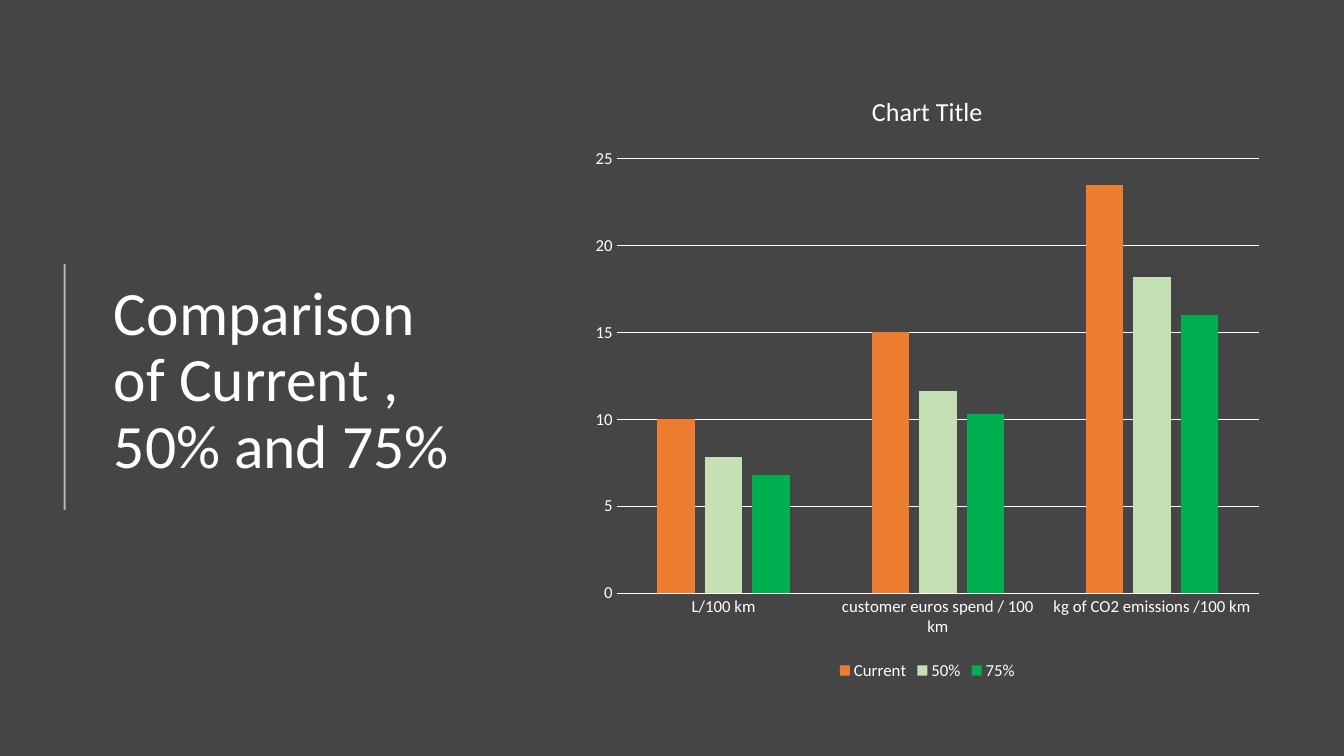
from dataclasses import dataclass

from lxml import etree
from pptx import Presentation
from pptx import util as u
from pptx.chart.data import CategoryChartData
from pptx.dml.color import RGBColor
from pptx.enum import chart as ch
from pptx.enum import shapes, text
from pptx.oxml.ns import qn


@dataclass(frozen=True)
class Theme:
    """Colours, font and type sizes."""
    back: str = "454545"
    ink: str = "FFFFFF"
    bars: tuple = ("ED7D31", "C5E0B4", "00B050")
    face: str = "Calibri"
    head: float = 44
    title: float = 18.6
    label: float = 12


class Deck:
    """Holds the theme and the current slide."""

    def __init__(self, theme):
        self.theme = theme
        self.prs = Presentation()
        self.prs.slide_width = u.Cm(33.87)
        self.prs.slide_height = u.Cm(19.05)
        self.slide = None

    def page(self):
        """Add a blank slide with the theme background."""
        self.slide = self.prs.slides.add_slide(self.prs.slide_layouts[6])
        self.paint(self.slide.background.fill, self.theme.back)

    def paint(self, fill, hue):
        """Make a fill solid."""
        fill.solid()
        fill.fore_color.rgb = RGBColor.from_string(hue)

    def style(self, font, size):
        """Set face, size and colour of a font."""
        font.name = self.theme.face
        font.size = u.Pt(size)
        font.bold = False
        font.color.rgb = RGBColor.from_string(self.theme.ink)

    def head(self, words, *box):
        """Add the heading, centred in height."""
        frame = self.slide.shapes.add_textbox(*map(u.Cm, box)).text_frame
        frame.word_wrap = True
        frame.vertical_anchor = text.MSO_ANCHOR.MIDDLE
        par = frame.paragraphs[0]
        par.text = words
        par.line_spacing = 0.9
        self.style(par.font, self.theme.head)

    def rule(self, left, top, base, alpha):
        """Add an upright, partly clear line."""
        rule = self.slide.shapes.add_connector(
            shapes.MSO_CONNECTOR.STRAIGHT, *map(u.Cm, (left, top, left, base)))
        rule.line.width = u.Pt(1.5)
        self.paint(rule.line.fill, self.theme.ink)
        props = rule._element.spPr
        hue = props.find(".//" + qn("a:srgbClr"))
        etree.SubElement(hue, qn("a:alpha"), val=str(alpha * 1000))
        etree.SubElement(props, qn("a:effectLst"))

    def stroke(self, line):
        """Draw a thin chart line."""
        line.width = u.Pt(0.75)
        self.paint(line.fill, self.theme.ink)

    def chart(self, title, cats, rows, *box):
        """Add a clustered column chart."""
        data = CategoryChartData()
        data.categories = cats
        for name, vals in rows.items():
            data.add_series(name, vals)
        chart = self.slide.shapes.add_chart(
            ch.XL_CHART_TYPE.COLUMN_CLUSTERED, *map(u.Cm, box), data).chart
        self.style(chart.font, self.theme.label)

        chart.has_title = True
        par = chart.chart_title.text_frame.paragraphs[0]
        par.text = title
        self.style(par.font, self.theme.title)
        chart.chart_title.include_in_layout = False

        chart.has_legend = True
        chart.legend.position = ch.XL_LEGEND_POSITION.BOTTOM
        chart.legend.include_in_layout = False
        self.style(chart.legend.font, self.theme.label)

        plot = chart.plots[0]
        plot.gap_width, plot.overlap = 219, -27
        plot.vary_by_categories = False
        for bar, hue in zip(plot.series, self.theme.bars):
            self.paint(bar.format.fill, hue)
            bar.invert_if_negative = False

        for axis in (chart.category_axis, chart.value_axis):
            axis.major_tick_mark = ch.XL_TICK_MARK.NONE
            axis.minor_tick_mark = ch.XL_TICK_MARK.NONE
            self.style(axis.tick_labels.font, self.theme.label)
        self.stroke(chart.category_axis.format.line)
        scale = chart.value_axis
        scale.minimum_scale, scale.maximum_scale = 0, 25
        scale.major_unit = 5
        scale.format.line.fill.background()
        scale.has_major_gridlines = True
        self.stroke(scale.major_gridlines.format.line)


def main():
    """Build and save the slide."""
    deck = Deck(Theme())
    deck.page()
    deck.head("Comparison of Current , 50% and 75%", 2.62, 1.98, 9.37, 15.29)
    deck.rule(1.63, 6.65, 12.85, alpha=60)
    cats = ("L/100 km", "customer euros spend / 100 km",
            "kg of CO2 emissions /100 km")
    rows = {"Current": (10, 15, 23.5),
            "50%": (7.8, 11.6, 18.2),
            "75%": (6.8, 10.3, 16)}
    deck.chart("Chart Title", cats, rows, 14.66, 1.78, 17.42, 15.47)
    deck.prs.save("out.pptx")


if __name__ == "__main__":
    main()
